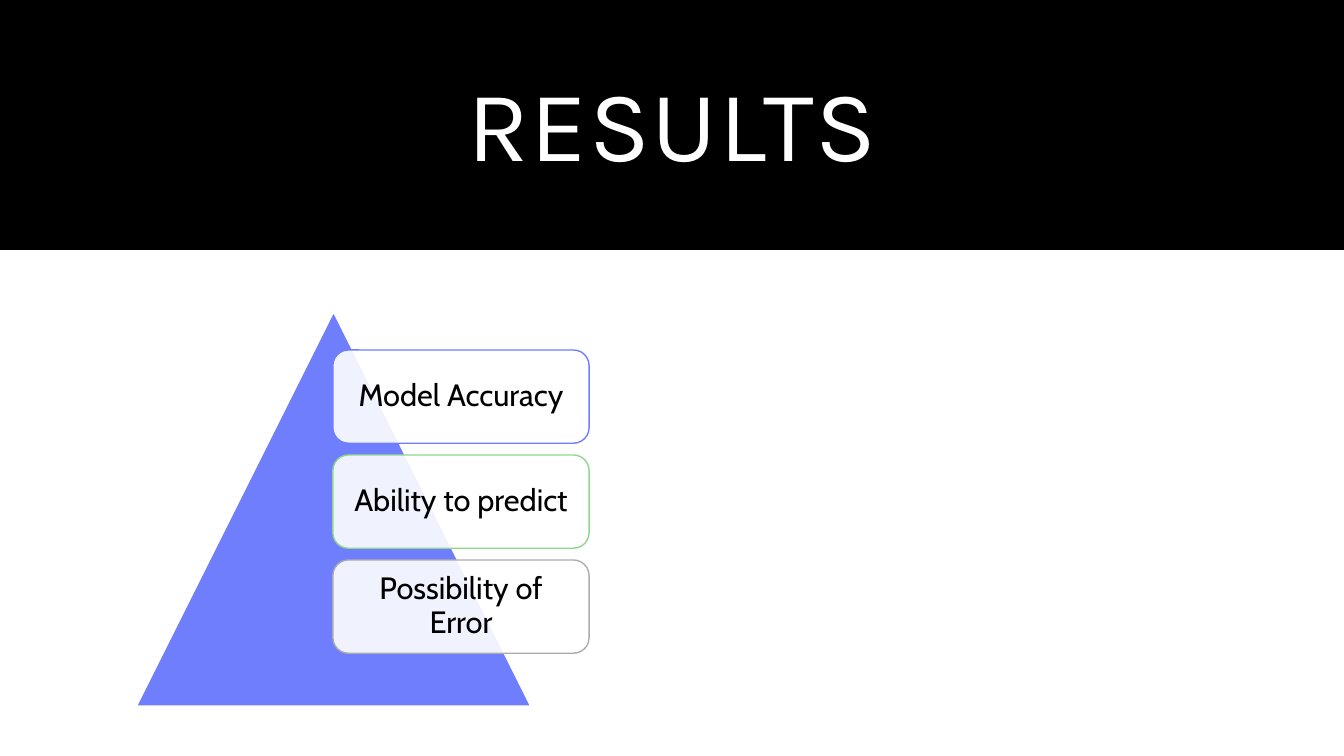
from lxml.etree import SubElement
from pptx import Presentation
from pptx.dml.color import RGBColor
from pptx.enum.shapes import MSO_SHAPE as Shape
from pptx.enum.text import MSO_ANCHOR as Anchor, PP_ALIGN as Align
from pptx.oxml.ns import qn
from pptx.util import Pt

# Content
TITLE = "RESULTS"
RESULTS = [
    ("Model Accuracy", "6F7EFD"),
    ("Ability to predict ", "8FD78B"),
    ("Possibility of Error", "ACACAC"),
]

# Layout, in points
PAGE_WIDTH, PAGE_HEIGHT = 960, 540
BAND_HEIGHT = 178.5
TITLE_PLACE = (75.6, 25.2, 808.8, 133.8)
PYRAMID_LEFT, PYRAMID_TOP, PYRAMID_SIZE = 97.5, 222.8, 281.6
CARD_WIDTH, CARD_HEIGHT = 183, 66.6
CARD_TOP, CARD_STEP = 250, 75
CARD_INSET = 9.7


def color(value):
    return RGBColor.from_string(value)


def add_part(page, kind, place, fill, line=None, alpha=None):
    part = page.shapes.add_shape(kind, *[Pt(length) for length in place])
    part.shadow.inherit = False
    part.fill.solid()
    part.fill.fore_color.rgb = color(fill)
    if alpha is not None:
        tint = part.fill._xPr.find(qn("a:solidFill"))[0]
        SubElement(tint, qn("a:alpha"), val=str(alpha * 1000))
    if line:
        part.line.color.rgb = color(line)
        part.line.width = Pt(1)
    else:
        part.line.fill.background()
    return part


def write(box, text, font, size, ink, inset, spacing=None):
    frame = box.text_frame
    frame.word_wrap = True
    frame.vertical_anchor = Anchor.MIDDLE
    frame.margin_left = frame.margin_right = Pt(inset)
    frame.margin_top = frame.margin_bottom = Pt(inset)
    para = frame.paragraphs[0]
    para.alignment = Align.CENTER
    para.line_spacing = 0.9
    span = para.add_run()
    span.text = text
    span.font.name = font
    span.font.size = Pt(size)
    span.font.color.rgb = color(ink)
    if spacing:
        span.font._element.set("spc", str(round(spacing * 100)))


def main():
    deck = Presentation()
    deck.slide_width, deck.slide_height = Pt(PAGE_WIDTH), Pt(PAGE_HEIGHT)
    page = deck.slides.add_slide(deck.slide_layouts[5])
    page.background.fill.solid()
    page.background.fill.fore_color.rgb = color("FFFFFF")

    # Header band, sent behind the title
    band = add_part(page, Shape.RECTANGLE,
                    (0, 0, PAGE_WIDTH, BAND_HEIGHT), "000000")
    title = page.shapes.title
    title._element.addprevious(band._element)
    title.left, title.top, title.width, title.height = map(Pt, TITLE_PLACE)
    write(title, TITLE, "Karla", 72, "FFFFFF", inset=3.6, spacing=1.2)

    # Pyramid
    add_part(page, Shape.ISOSCELES_TRIANGLE,
             (PYRAMID_LEFT, PYRAMID_TOP, PYRAMID_SIZE, PYRAMID_SIZE),
             "6F7EFD", line="FFFFFF")

    # Result cards, starting at the pyramid's axis
    card_left = PYRAMID_LEFT + PYRAMID_SIZE / 2 - 0.5
    for index, (text, line) in enumerate(RESULTS):
        place = (card_left, CARD_TOP + index * CARD_STEP,
                 CARD_WIDTH, CARD_HEIGHT)
        card = add_part(page, Shape.ROUNDED_RECTANGLE, place, "FFFFFF",
                        line=line, alpha=90)
        write(card, text, "Cabin", 22, "000000", inset=CARD_INSET)

    deck.save("out.pptx")


if __name__ == "__main__":
    main()
